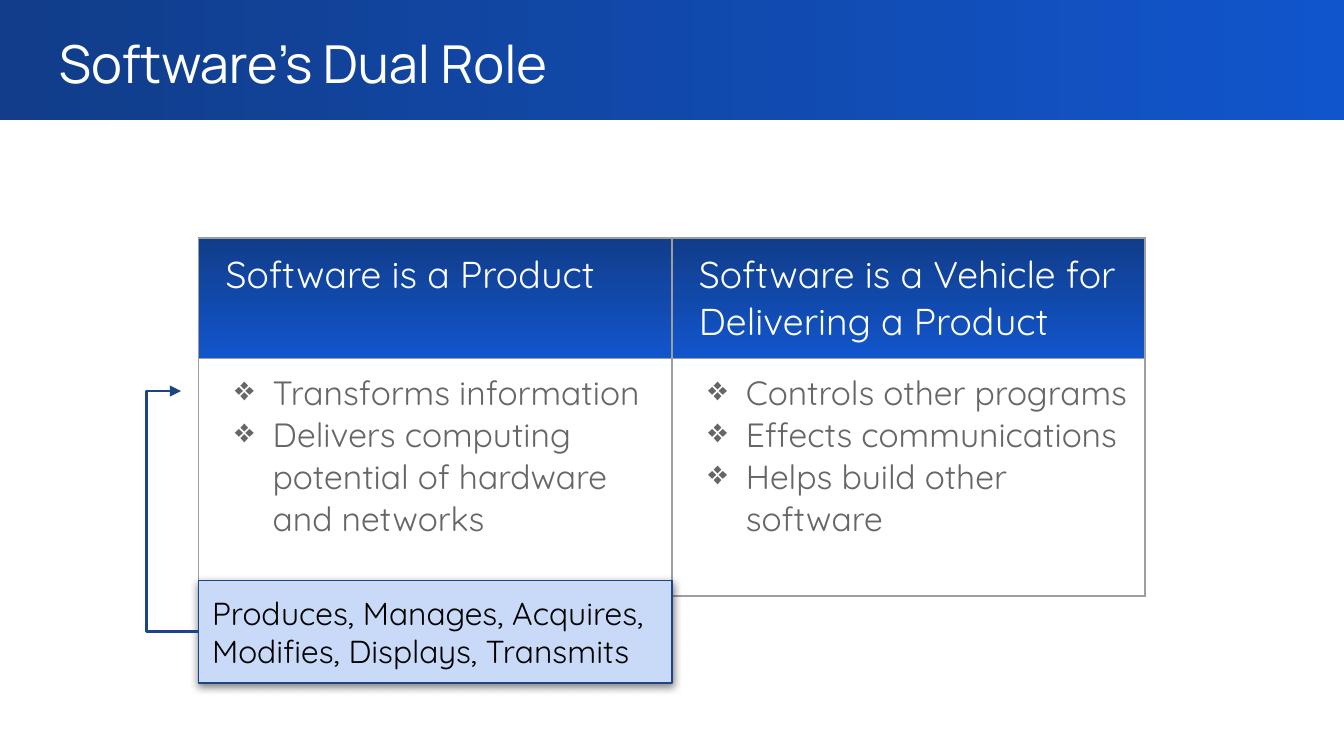
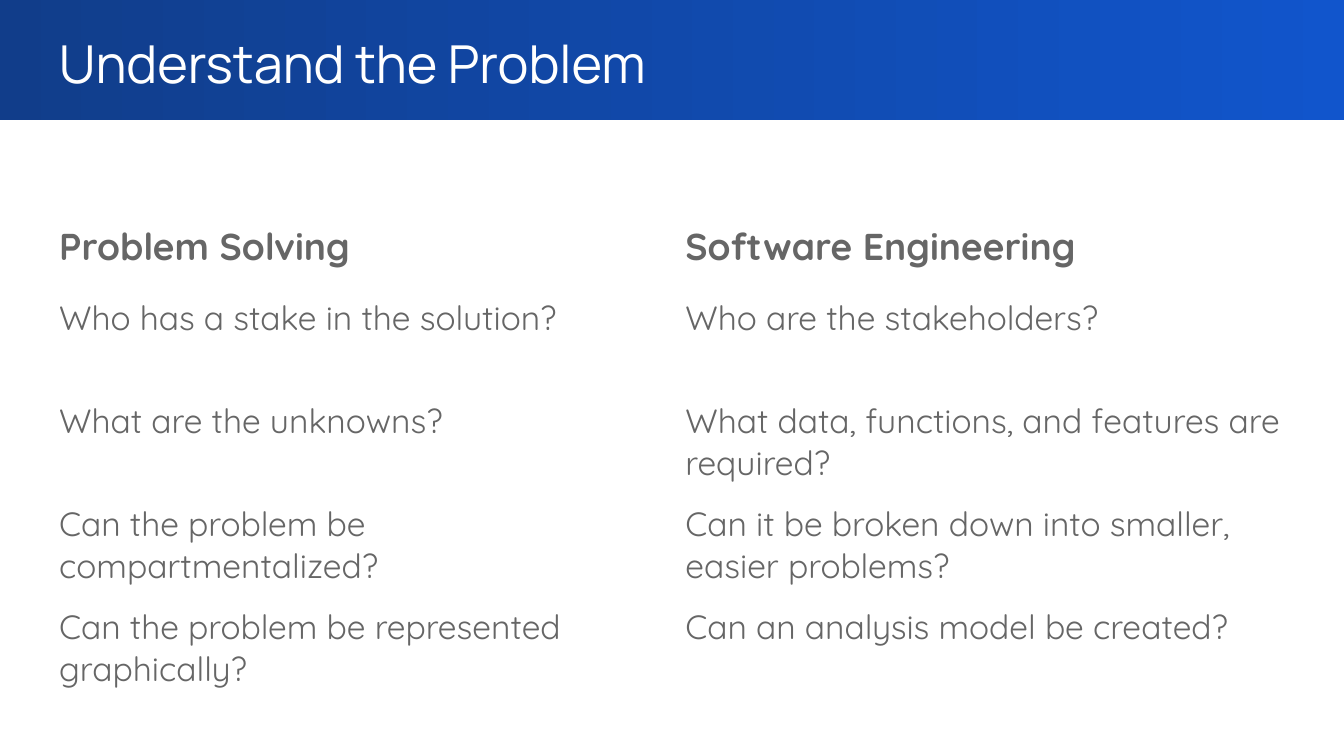
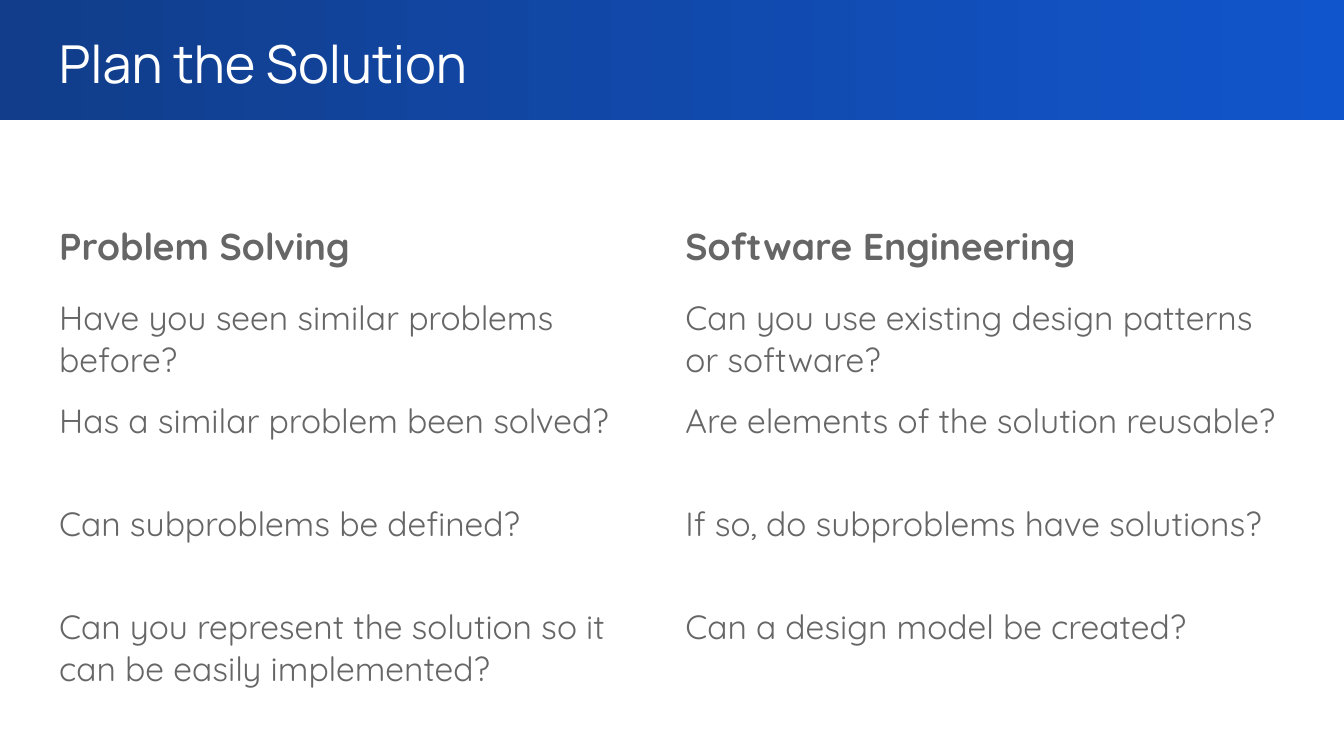
from dataclasses import dataclass
from typing import NamedTuple, Optional

from lxml.etree import SubElement
from pptx import Presentation
from pptx.dml.color import RGBColor
from pptx.enum.shapes import MSO_CONNECTOR as Connector, MSO_SHAPE as Preset
from pptx.enum.text import MSO_ANCHOR as Anchor
from pptx.oxml.ns import qn
from pptx.util import Pt


# Theme shared by all slides
@dataclass(frozen=True)
class Theme:
    deep_blue: RGBColor = RGBColor(0x11, 0x3D, 0x8A)
    bright_blue: RGBColor = RGBColor(0x11, 0x55, 0xCC)
    outline_blue: RGBColor = RGBColor(0x1C, 0x45, 0x87)
    pale_blue: RGBColor = RGBColor(0xC9, 0xDA, 0xF8)
    grey: RGBColor = RGBColor(0x66, 0x66, 0x66)
    border: RGBColor = RGBColor(0x9E, 0x9E, 0x9E)
    white: RGBColor = RGBColor(0xFF, 0xFF, 0xFF)
    black: RGBColor = RGBColor(0, 0, 0)
    title_font: str = "Manrope"
    body_font: str = "Quicksand"
    title_size: float = 28
    heading_size: float = 20
    body_size: float = 18
    verbs_size: float = 17
    inset: float = 7.2


THEME = Theme()
SLIDE_WIDTH, SLIDE_HEIGHT = 720, 405
BAND_HEIGHT = 64.5
MARGIN = 24.5
RIGHTWARD, DOWNWARD = 0, 270
PARAGRAPH_GAP = 10
BLANK_LINE = 22.5


# Content types
class Style(NamedTuple):
    size: float
    color: RGBColor
    font: str = THEME.body_font
    bold: bool = False


class Item(NamedTuple):
    text: str
    space_before: float = 0
    left: float = 0
    hanging: float = 0
    bullet: str = ""


class Column(NamedTuple):
    heading: Item
    items: list[Item]


@dataclass(frozen=True)
class Comparison:
    left: float
    top: float
    column_width: float
    row_heights: tuple[float, float]
    heading_style: Style
    item_style: Style
    framed: bool = False


ROLES = Comparison(106.5, 127.5, 253.5, (64.4, 127.5),
                   Style(THEME.heading_size, THEME.white),
                   Style(THEME.body_size, THEME.grey), framed=True)
QUESTIONS = Comparison(MARGIN, 112.5, 335.5, (39.4, 234),
                       Style(THEME.heading_size, THEME.grey, bold=True),
                       Style(THEME.body_size, THEME.grey))


def role(heading: str, *points: str) -> Column:
    return Column(Item(heading, left=7.2),
                  [Item(point, left=32.4, hanging=20.2, bullet="❖") for point in points])


def first(text: str) -> Item:
    return Item(text)


def near(text: str) -> Item:
    return Item(text, PARAGRAPH_GAP)


def far(text: str) -> Item:
    return Item(text, PARAGRAPH_GAP + BLANK_LINE)


# Drawing helpers
def blend(fill, angle: float) -> None:
    fill.gradient()
    fill.gradient_angle = angle
    for stop, color in zip(fill.gradient_stops, (THEME.deep_blue, THEME.bright_blue)):
        stop.color.rgb = color


def write(frame, items: list[Item], style: Style) -> None:
    frame.word_wrap = True
    for index, item in enumerate(items):
        paragraph = frame.paragraphs[0] if index == 0 else frame.add_paragraph()
        if item.space_before:
            paragraph.space_before = Pt(item.space_before)
        properties = paragraph._p.get_or_add_pPr()
        properties.set("marL", str(Pt(item.left)))
        properties.set("indent", str(-Pt(item.hanging)))
        if item.bullet:
            bullet_color = SubElement(properties, qn("a:buClr"))
            SubElement(bullet_color, qn("a:srgbClr"), val=str(style.color))
            SubElement(properties, qn("a:buChar"), char=item.bullet)
        run = paragraph.add_run()
        run.text = item.text
        run.font.name = style.font
        run.font.size = Pt(style.size)
        run.font.bold = style.bold
        run.font.color.rgb = style.color


def pad(holder) -> None:
    for side in ("left", "top", "right", "bottom"):
        setattr(holder, f"margin_{side}", Pt(THEME.inset))


def outline(cell, color: Optional[RGBColor]) -> None:
    properties = cell._tc.get_or_add_tcPr()
    for index, side in enumerate(("L", "R", "T", "B")):
        edge = SubElement(properties, qn(f"a:ln{side}"), w=str(Pt(0.75)))
        if color is None:
            SubElement(edge, qn("a:noFill"))
        else:
            SubElement(SubElement(edge, qn("a:solidFill")), qn("a:srgbClr"), val=str(color))
        properties.insert(index, edge)


def add_titled_slide(deck, title: str):
    slide = deck.slides.add_slide(deck.slide_layouts[6])
    band = slide.shapes.add_shape(Preset.RECTANGLE, 0, 0, Pt(SLIDE_WIDTH), Pt(BAND_HEIGHT))
    band.shadow.inherit = False
    band.line.fill.background()
    blend(band.fill, RIGHTWARD)
    heading = slide.shapes.add_textbox(Pt(MARGIN), Pt(9.4), Pt(SLIDE_WIDTH - 2 * MARGIN), Pt(49))
    pad(heading.text_frame)
    write(heading.text_frame, [Item(title)],
          Style(THEME.title_size, THEME.white, THEME.title_font))
    return slide


def add_comparison(slide, layout: Comparison, columns: list[Column]) -> None:
    table = slide.shapes.add_table(
        2, len(columns), Pt(layout.left), Pt(layout.top),
        Pt(layout.column_width * len(columns)), Pt(sum(layout.row_heights))).table
    table.first_row = table.horz_banding = False
    for row, height in zip(table.rows, layout.row_heights):
        row.height = Pt(height)
    for index, column in enumerate(columns):
        table.columns[index].width = Pt(layout.column_width)
        parts = (([column.heading], layout.heading_style), (column.items, layout.item_style))
        for row_index, (items, style) in enumerate(parts):
            cell = table.cell(row_index, index)
            pad(cell)
            write(cell.text_frame, items, style)
            if layout.framed and row_index == 0:
                blend(cell.fill, DOWNWARD)
            else:
                cell.fill.background()
            outline(cell, THEME.border if layout.framed else None)


def add_verbs(slide, text: str) -> None:
    # Box under the first column
    left, top, height = ROLES.left, 311, 55
    verbs = slide.shapes.add_shape(Preset.RECTANGLE, Pt(left), Pt(top),
                                   Pt(ROLES.column_width), Pt(height))
    verbs.fill.solid()
    verbs.fill.fore_color.rgb = THEME.pale_blue
    verbs.line.color.rgb = THEME.outline_blue
    verbs.line.width = Pt(0.75)
    verbs.shadow.inherit = False
    effects = verbs._element.spPr.find(qn("a:effectLst"))
    shadow = SubElement(effects, qn("a:outerShdw"), blurRad=str(Pt(4.5)), dist=str(Pt(1.5)),
                        dir="5400000", algn="bl", rotWithShape="0")
    shade = SubElement(shadow, qn("a:srgbClr"), val=str(THEME.black))
    SubElement(shade, qn("a:alpha"), val="50000")
    pad(verbs.text_frame)
    verbs.text_frame.vertical_anchor = Anchor.MIDDLE
    write(verbs.text_frame, [Item(text)], Style(THEME.verbs_size, THEME.black))
    verbs.text_frame.paragraphs[0].alignment = 1

    # Arrow from the box back up to the first point
    tip_x, tip_y, bend_x = 97, 209.5, 78.5
    loop = slide.shapes.add_connector(Connector.ELBOW, Pt(left), Pt(top + height / 2),
                                      Pt(tip_x), Pt(tip_y))
    loop.line.color.rgb = THEME.outline_blue
    loop.line.width = Pt(1.5)
    bend = round((left - bend_x) / (left - tip_x) * 100000)
    properties = loop._element.spPr
    guides = properties.find(qn("a:prstGeom")).get_or_add_avLst()
    SubElement(guides, qn("a:gd"), name="adj1", fmla=f"val {bend}")
    SubElement(properties.find(qn("a:ln")), qn("a:tailEnd"), type="triangle")
    SubElement(properties, qn("a:effectLst"))


# Slides
def add_dual_role(deck) -> None:
    slide = add_titled_slide(deck, "Software’s Dual Role")
    add_comparison(slide, ROLES, [
        role("Software is a Product", "Transforms information",
             "Delivers computing potential of hardware and networks"),
        role("Software is a Vehicle for Delivering a Product", "Controls other programs",
             "Effects communications", "Helps build other software"),
    ])
    add_verbs(slide, "Produces, Manages, Acquires, Modifies, Displays, Transmits")


def add_questions(deck, title: str, solving: list[Item], engineering: list[Item]) -> None:
    slide = add_titled_slide(deck, title)
    add_comparison(slide, QUESTIONS, [
        Column(Item("Problem Solving"), solving),
        Column(Item("Software Engineering"), engineering),
    ])


def main() -> None:
    deck = Presentation()
    deck.slide_width, deck.slide_height = Pt(SLIDE_WIDTH), Pt(SLIDE_HEIGHT)
    add_dual_role(deck)
    add_questions(
        deck, "Understand the Problem",
        [first("Who has a stake in the solution?"),
         far("What are the unknowns?"),
         far("Can the problem be compartmentalized?"),
         near("Can the problem be represented graphically?")],
        [first("Who are the stakeholders?"),
         far("What data, functions, and features are required?"),
         near("Can it be broken down into smaller, easier problems?"),
         near("Can an analysis model be created?")])
    add_questions(
        deck, "Plan the Solution",
        [first("Have you seen similar problems before?"),
         near("Has a similar problem been solved?"),
         far("Can subproblems be defined?"),
         far("Can you represent the solution so it can be easily implemented?")],
        [first("Can you use existing design patterns or software?"),
         near("Are elements of the solution reusable?"),
         far("If so, do subproblems have solutions?"),
         far("Can a design model be created?")])
    deck.save("out.pptx")


if __name__ == "__main__":
    main()
